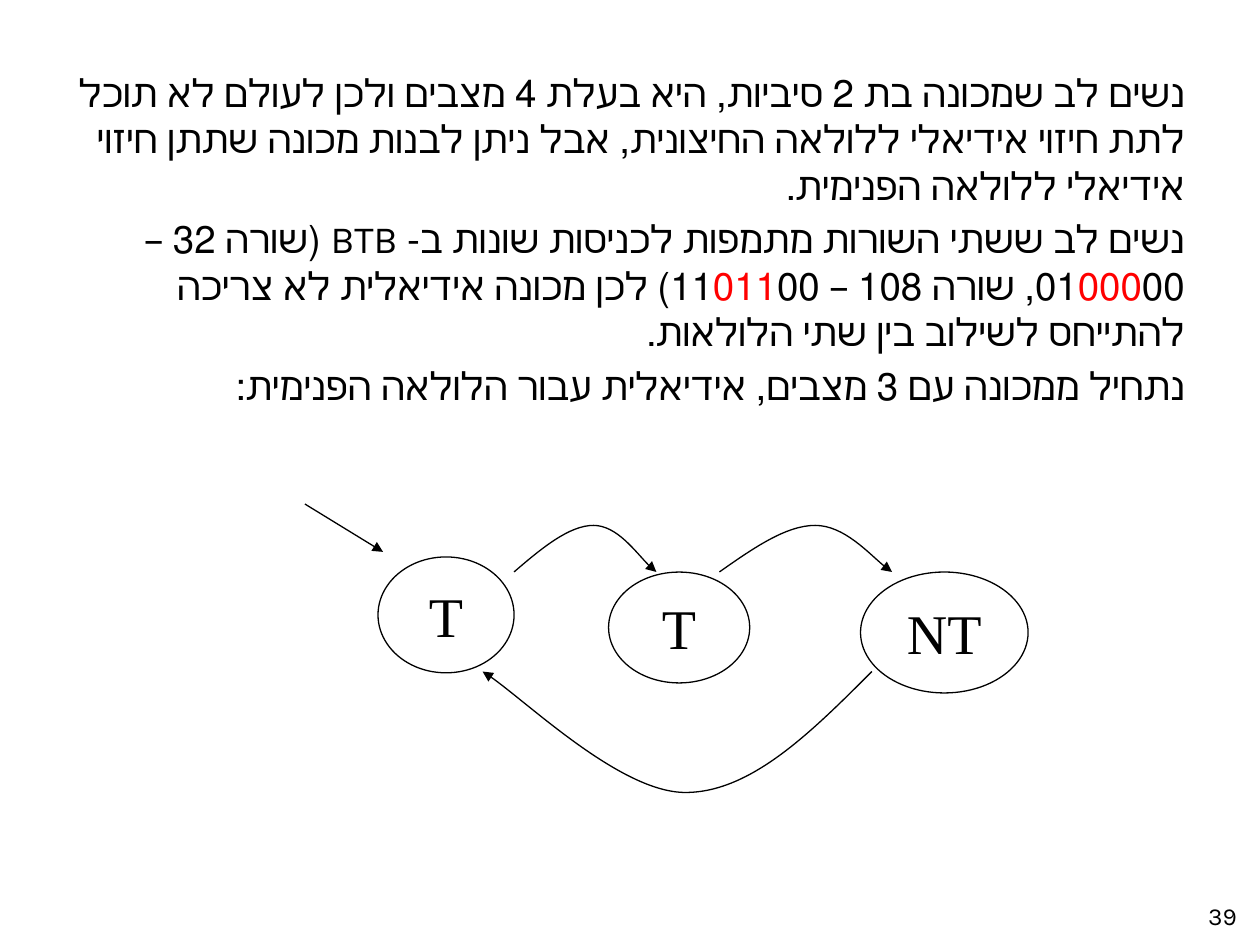
from lxml.etree import SubElement
from pptx import Presentation
from pptx.dml.color import RGBColor
from pptx.enum.shapes import MSO_CONNECTOR as Connector, MSO_SHAPE as Shape
from pptx.enum.text import MSO_ANCHOR as Anchor, PP_ALIGN as Align
from pptx.oxml.ns import qn
from pptx.util import Inches, Pt

BLACK, RED, WHITE = "000000", "FF0000", "FFFFFF"
BODY_FONT, STATE_FONT = "Karla", "Times New Roman"

# Each paragraph is a list of (text, colour) runs
EXPLANATION = [
    [("נשים לב שמכונה בת 2 סיביות, היא בעלת 4 מצבים ולכן לעולם לא תוכל "
      "לתת חיזוי אידיאלי ללולאה החיצונית, אבל ניתן לבנות מכונה שתתן חיזוי "
      "אידיאלי ללולאה הפנימית.", BLACK)],
    [("נשים לב ששתי השורות מתמפות לכניסות שונות ב- BTB (שורה 32 – 01", BLACK),
     ("000", RED),
     ("00, שורה 108 – 11", BLACK),
     ("011", RED),
     ("00) לכן מכונה אידיאלית לא צריכה להתייחס לשילוב בין שתי הלולאות.", BLACK)],
    [("נתחיל ממכונה עם 3 מצבים, אידיאלית עבור הלולאה הפנימית:", BLACK)],
]

# Label, left, top, width, height
STATES = [
    ("T", 3, 4.42, 1.08, 0.92),
    ("T", 4.83, 4.54, 1.12, 0.88),
    ("NT", 6.83, 4.54, 1.33, 0.96),
]

# Start point, then three points for each Bezier segment
TRANSITIONS = [
    [(4.08, 4.54), (4.3, 4.35), (4.52, 4.17), (4.71, 4.17),
     (4.9, 4.17), (5.12, 4.48), (5.21, 4.54)],
    [(5.71, 4.54), (5.98, 4.35), (6.24, 4.17), (6.47, 4.17),
     (6.7, 4.17), (6.98, 4.48), (7.08, 4.54)],
    [(6.92, 5.33), (6.44, 5.81), (5.96, 6.29), (5.44, 6.29),
     (4.93, 6.29), (4.1, 5.49), (3.83, 5.33)],
]


def color(value):
    return RGBColor.from_string(value)


def add_run(paragraph, text, size, font, ink=BLACK):
    run = paragraph.add_run()
    run.text = text
    run.font.size = Pt(size)
    run.font.name = font
    run.font.color.rgb = color(ink)
    return run


def outline(item, arrow=False):
    item.line.color.rgb = color(BLACK)
    item.line.width = Pt(0.75)
    if arrow:
        SubElement(item.line._get_or_add_ln(), qn("a:tailEnd"), type="triangle")


def add_text_box(slide, left, top, width, height):
    box = slide.shapes.add_textbox(*map(Inches, (left, top, width, height)))
    box.text_frame.word_wrap = True
    return box.text_frame


def add_explanation(slide):
    frame = add_text_box(slide, 0.25, 0.5, 9.25, 3.75)
    for index, runs in enumerate(EXPLANATION):
        paragraph = frame.add_paragraph() if index else frame.paragraphs[0]
        paragraph.alignment = Align.RIGHT
        paragraph.space_before = Pt(4.4)
        paragraph._p.get_or_add_pPr().set("rtl", "1")
        for text, ink in runs:
            add_run(paragraph, text, 22, BODY_FONT, ink)


def add_state(slide, label, *place):
    state = slide.shapes.add_shape(Shape.OVAL, *map(Inches, place))
    state.shadow.inherit = False
    state.fill.solid()
    state.fill.fore_color.rgb = color(WHITE)
    outline(state)
    frame = state.text_frame
    frame.word_wrap = False
    frame.vertical_anchor = Anchor.MIDDLE
    frame.paragraphs[0].alignment = Align.CENTER
    add_run(frame.paragraphs[0], label, 32, STATE_FONT)


def add_transition(slide, points):
    start, *rest = [(Inches(x), Inches(y)) for x, y in points]
    builder = slide.shapes.build_freeform(*start)
    builder.add_line_segments(rest, close=False)
    curve = builder.convert_to_shape()
    # Join every three line segments into one Bezier segment
    segments = list(curve._element.iter(qn("a:lnTo")))
    route = segments[0].getparent()
    for first in range(0, len(segments), 3):
        bezier = SubElement(route, qn("a:cubicBezTo"))
        for segment in segments[first:first + 3]:
            bezier.append(segment[0])
            route.remove(segment)
    curve.shadow.inherit = False
    curve.fill.background()
    outline(curve, arrow=True)


def add_entry_arrow(slide, *ends):
    arrow = slide.shapes.add_connector(Connector.STRAIGHT, *map(Inches, ends))
    outline(arrow, arrow=True)
    SubElement(arrow._element.spPr, qn("a:effectLst"))


def main():
    deck = Presentation()
    deck.slide_width, deck.slide_height = Inches(10), Inches(7.5)
    slide = deck.slides.add_slide(deck.slide_layouts[6])

    # Page number and explanation
    page_number = add_text_box(slide, 9.49, 7.1, 0.5, 0.34)
    add_run(page_number.paragraphs[0], "39", 14, BODY_FONT)
    add_explanation(slide)

    # State machine
    for state in STATES:
        add_state(slide, *state)
    for points in TRANSITIONS:
        add_transition(slide, points)
    add_entry_arrow(slide, 2.42, 4, 3.04, 4.38)

    deck.save("out.pptx")


main()
